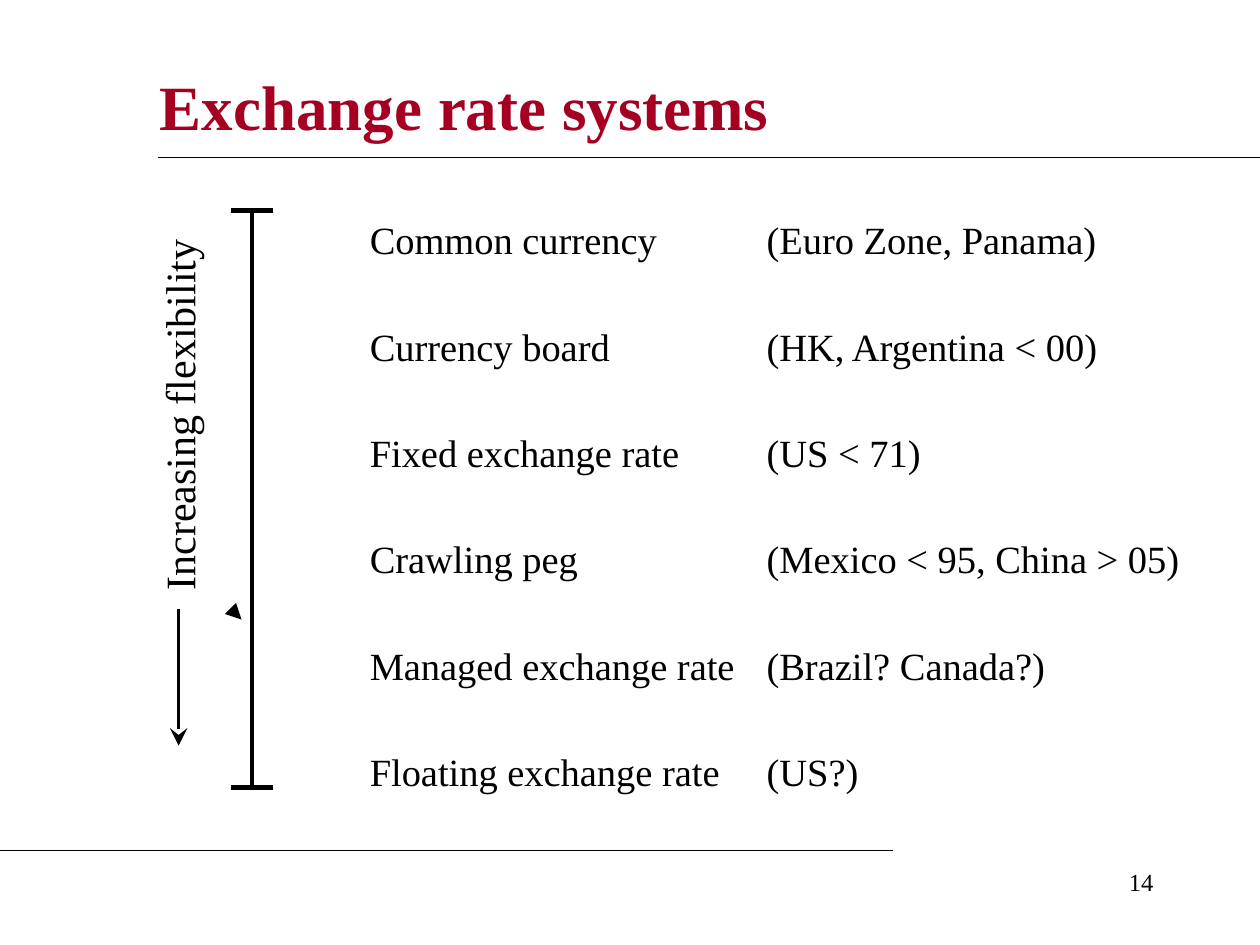
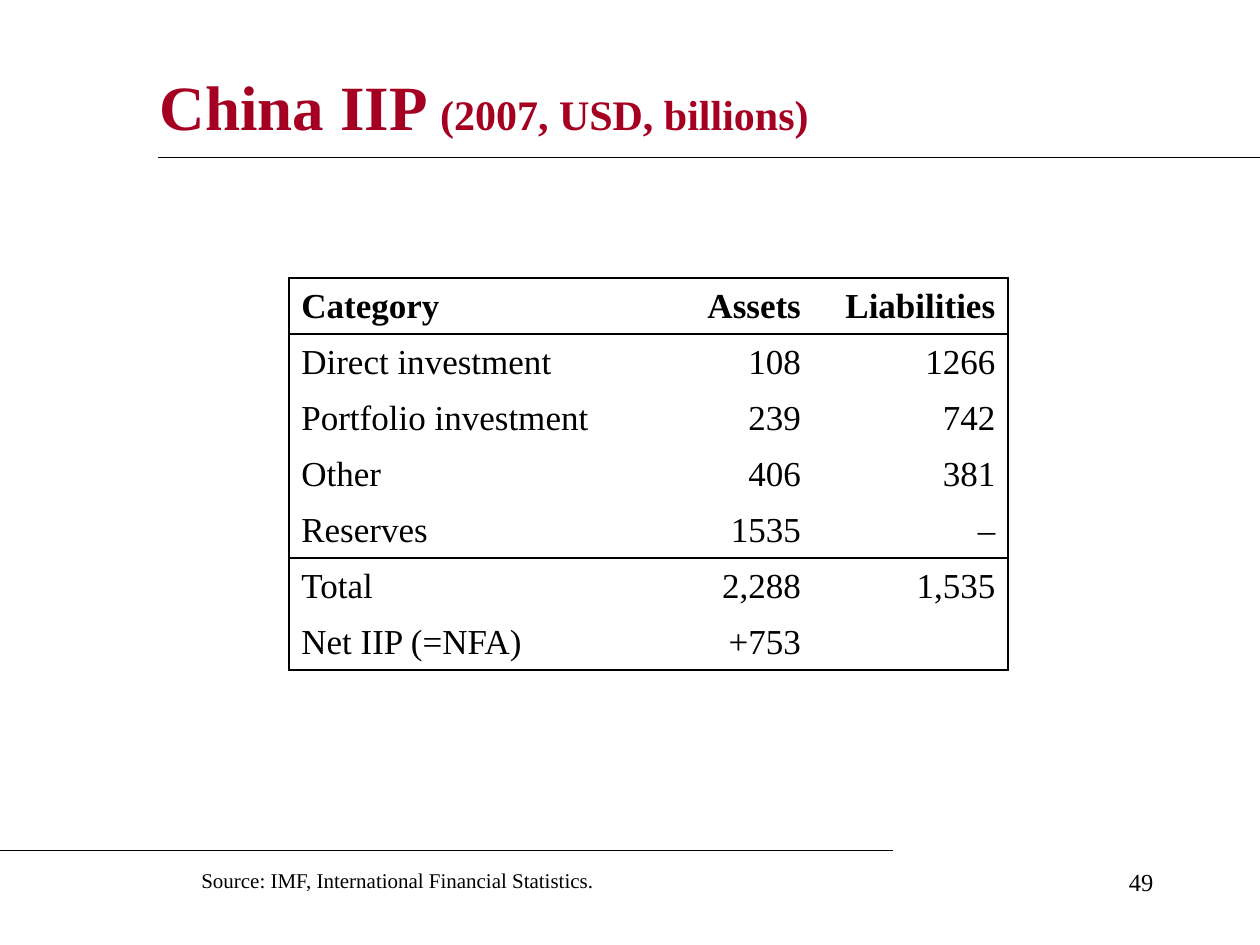
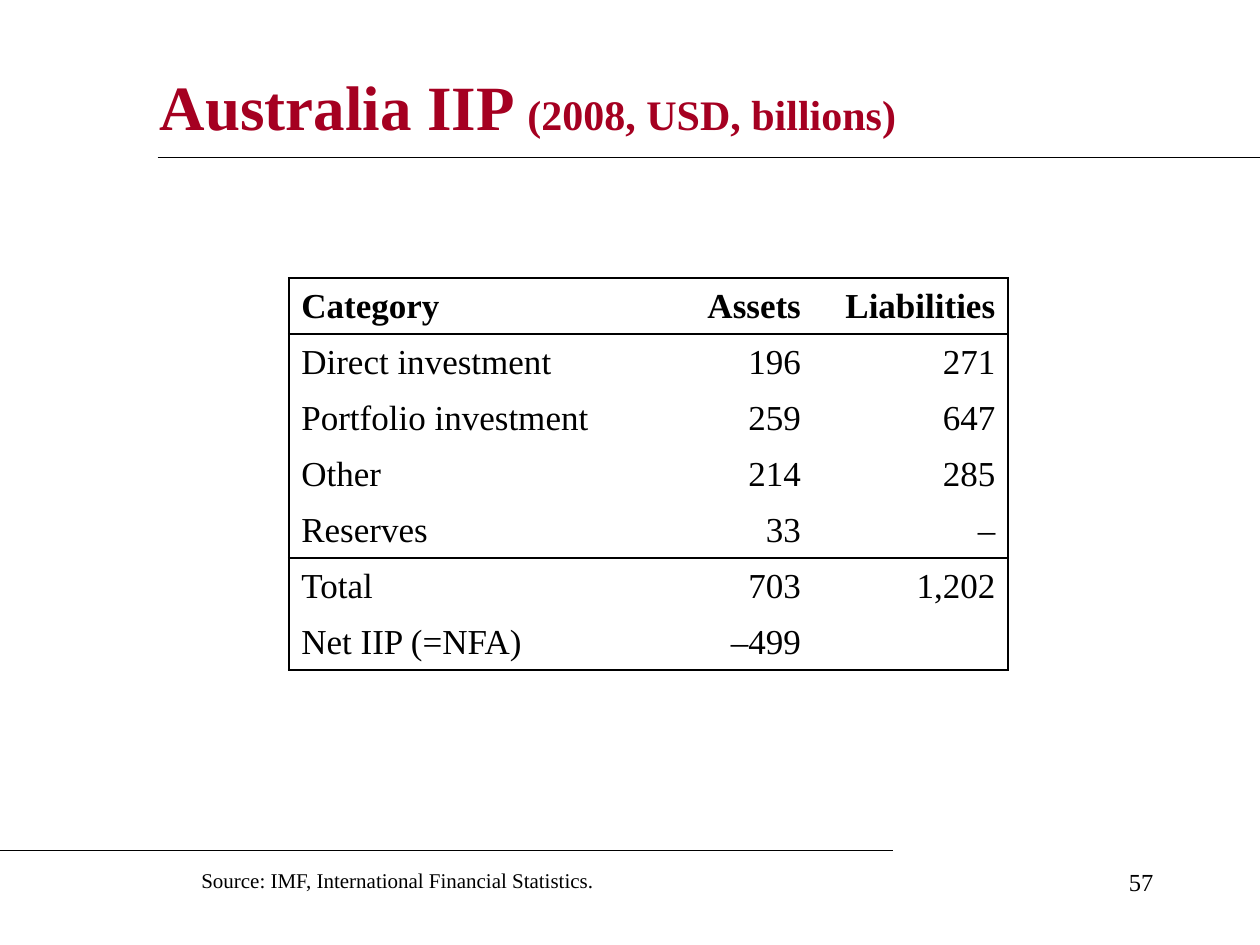
from dataclasses import dataclass

from lxml import etree
from pptx import Presentation
from pptx.dml.color import RGBColor
from pptx.enum.shapes import MSO_CONNECTOR
from pptx.enum.text import MSO_ANCHOR, MSO_AUTO_SIZE, PP_ALIGN
from pptx.oxml.ns import qn
from pptx.util import Cm, Pt

STRAIGHT = MSO_CONNECTOR.STRAIGHT
MIDDLE = MSO_ANCHOR.MIDDLE
NO_FIT = MSO_AUTO_SIZE.NONE
LEFT, CENTER, RIGHT = PP_ALIGN.LEFT, PP_ALIGN.CENTER, PP_ALIGN.RIGHT


@dataclass(frozen=True)
class Theme:
    font: str = "Times New Roman"
    ink: str = "000000"
    accent: str = "A50021"
    title: int = 36
    subtitle: int = 24
    axis: int = 24
    body: int = 22
    table: int = 20
    number: int = 14
    source: int = 12
    rule: float = 0.75
    border: float = 1.08


THEME = Theme()


def add_run(p, text, size, color=THEME.ink, bold=False):
    r = p.add_run()
    r.text = text
    r.font.name = THEME.font
    r.font.size = Pt(size)
    r.font.bold = bold
    r.font.color.rgb = RGBColor.from_string(color)


def add_line(s, x1, y1, x2, y2, width, arrow=None, arrow_size="med"):
    line = s.shapes.add_connector(STRAIGHT, Cm(x1), Cm(y1), Cm(x2), Cm(y2))
    line.line.color.rgb = RGBColor.from_string(THEME.ink)
    line.line.width = Pt(width)
    if arrow:
        etree.SubElement(line.line._get_or_add_ln(), qn("a:tailEnd"),
                         type=arrow, w=arrow_size, len=arrow_size)
    etree.SubElement(line._element.spPr, qn("a:effectLst"))


prs = Presentation()
prs.slide_width, prs.slide_height = Cm(25.4), Cm(19.05)
LIST_LAYOUT, TABLE_LAYOUT = prs.slide_layouts[1], prs.slide_layouts[5]

# Slide contents
TITLE_BOX = (2.97, 1.07, 20.52, 2.1)
TALL_TITLE_BOX = (2.97, 0.64, 21.59, 2.96)
FLEXIBILITY = ("Increasing flexibility", THEME.axis, CENTER, (-0.53, 7.73, 8.26, 1.27), 270)
SOURCE = ("Source: IMF, International Financial Statistics.", THEME.source, LEFT,
          (3.81, 17.36, 9.1, 0.76), 0)

SLIDES = [
    (LIST_LAYOUT, TITLE_BOX, "Exchange rate systems", "", "14", FLEXIBILITY),
    (TABLE_LAYOUT, TALL_TITLE_BOX, "China IIP ", "(2007, USD, billions)", "49", SOURCE),
    (TABLE_LAYOUT, TALL_TITLE_BOX, "Australia IIP ", "(2008, USD, billions)", "57", SOURCE),
]

SYSTEMS = [
    ("Common currency", "(Euro Zone, Panama)"),
    ("Currency board", "(HK, Argentina < 00)"),
    ("Fixed exchange rate", "(US < 71)"),
    ("Crawling peg", "(Mexico < 95, China > 05)"),
    ("Managed exchange rate", "(Brazil? Canada?)"),
    ("Floating exchange rate", "(US?)"),
]

CATEGORIES = ["Category", "Direct investment", "Portfolio investment", "Other",
              "Reserves", "Total", "Net IIP (=NFA)"]
CHINA = (["Assets", "108", "239", "406", "1535", "2,288", "+753"],
         ["Liabilities", "1266", "742", "381", "–", "1,535", ""])
AUSTRALIA = (["Assets", "196", "259", "214", "33", "703", "–499"],
             ["Liabilities", "271", "647", "285", "–", "1,202", ""])

# Titles, rules, page numbers and side labels
for layout, title_box, title, subtitle, number, label in SLIDES:
    s = prs.slides.add_slide(layout)
    sp = s.shapes.title
    sp.left, sp.top, sp.width, sp.height = map(Cm, title_box)
    tf = sp.text_frame
    tf.auto_size = NO_FIT
    tf.vertical_anchor = MIDDLE
    p = tf.paragraphs[0]
    p.alignment = LEFT
    add_run(p, title, THEME.title, THEME.accent, True)
    if subtitle:
        add_run(p, subtitle, THEME.subtitle, THEME.accent, True)

    add_line(s, 3.18, 3.18, 25.4, 3.18, THEME.rule)
    add_line(s, 0, 17.15, 18, 17.15, THEME.rule)

    page_number = (number, THEME.number, RIGHT, (18.2, 17.36, 5.3, 1.27), 0)
    for text, size, align, box, rotation in (page_number, label):
        sp = s.shapes.add_textbox(*map(Cm, box))
        sp.rotation = rotation
        tf = sp.text_frame
        tf.word_wrap = True
        p = tf.paragraphs[0]
        p.alignment = align
        add_run(p, text, size)

# Exchange rate systems: list in two tabbed columns
EXAMPLES_TAB = str(Cm(8))
s = prs.slides[0]
sp = s.placeholders[1]
sp.left, sp.top, sp.width, sp.height = Cm(7.2), Cm(4.23), Cm(17.35), Cm(11.91)
tf = sp.text_frame
tf.auto_size = NO_FIT
for i, (system, examples) in enumerate(SYSTEMS):
    p = tf.add_paragraph() if i else tf.paragraphs[0]
    pPr = p._p.get_or_add_pPr()
    for name, value in (("marL", "0"), ("indent", "0"), ("defTabSz", EXAMPLES_TAB)):
        pPr.set(name, value)
    etree.SubElement(pPr, qn("a:buNone"))
    tabs = etree.SubElement(pPr, qn("a:tabLst"))
    etree.SubElement(tabs, qn("a:tab"), pos=EXAMPLES_TAB, algn="l")
    p.space_before = Pt(34.4 if i else 0)
    add_run(p, f"{system}\t{examples}", THEME.body)

# Exchange rate systems: flexibility axis with end caps and arrows
AXIS_X, AXIS_TOP, AXIS_BOTTOM, CAP = 5.08, 4.24, 15.88, 0.42
add_line(s, AXIS_X, AXIS_TOP, AXIS_X, AXIS_BOTTOM, 2)
for y in (AXIS_TOP, AXIS_BOTTOM):
    add_line(s, AXIS_X - CAP, y, AXIS_X + CAP, y, 3)
add_line(s, 4.86, 12.48, 4.87, 12.49, 3, "triangle")
add_line(s, 3.6, 12.28, 3.6, 15.03, 2, "stealth", "lg")

# Investment position tables
COL_WIDTHS = (7.83, 2.75, 3.92)
ROW_HEIGHT = 1.13
RULED_EDGES = (0, 1, 5, len(CATEGORIES))
for s, (assets, liabilities) in zip(list(prs.slides)[1:], (CHINA, AUSTRALIA)):
    rows = list(zip(CATEGORIES, assets, liabilities))
    table = s.shapes.add_table(len(rows), len(COL_WIDTHS), Cm(5.82), Cm(5.61),
                               Cm(sum(COL_WIDTHS)), Cm(ROW_HEIGHT * len(rows))).table
    table.first_row = table.horz_banding = False
    for column, width in zip(table.columns, COL_WIDTHS):
        column.width = Cm(width)
    for i, row in enumerate(rows):
        table.rows[i].height = Cm(ROW_HEIGHT)
        for j, text in enumerate(row):
            cell = table.cell(i, j)
            cell.vertical_anchor = MIDDLE
            tcPr = cell._tc.get_or_add_tcPr()
            borders = {"a:lnL": j == 0, "a:lnR": j == len(row) - 1,
                       "a:lnT": i in RULED_EDGES, "a:lnB": i + 1 in RULED_EDGES}
            for tag, ruled in borders.items():
                ln = etree.SubElement(tcPr, qn(tag), w=str(Pt(THEME.border)))
                fill = etree.SubElement(ln, qn("a:solidFill" if ruled else "a:noFill"))
                if ruled:
                    etree.SubElement(fill, qn("a:srgbClr"), val=THEME.ink)
            cell.fill.background()
            if text:
                p = cell.text_frame.paragraphs[0]
                p.alignment = RIGHT if j else LEFT
                add_run(p, text, THEME.table, bold=i == 0)

prs.save("out.pptx")
